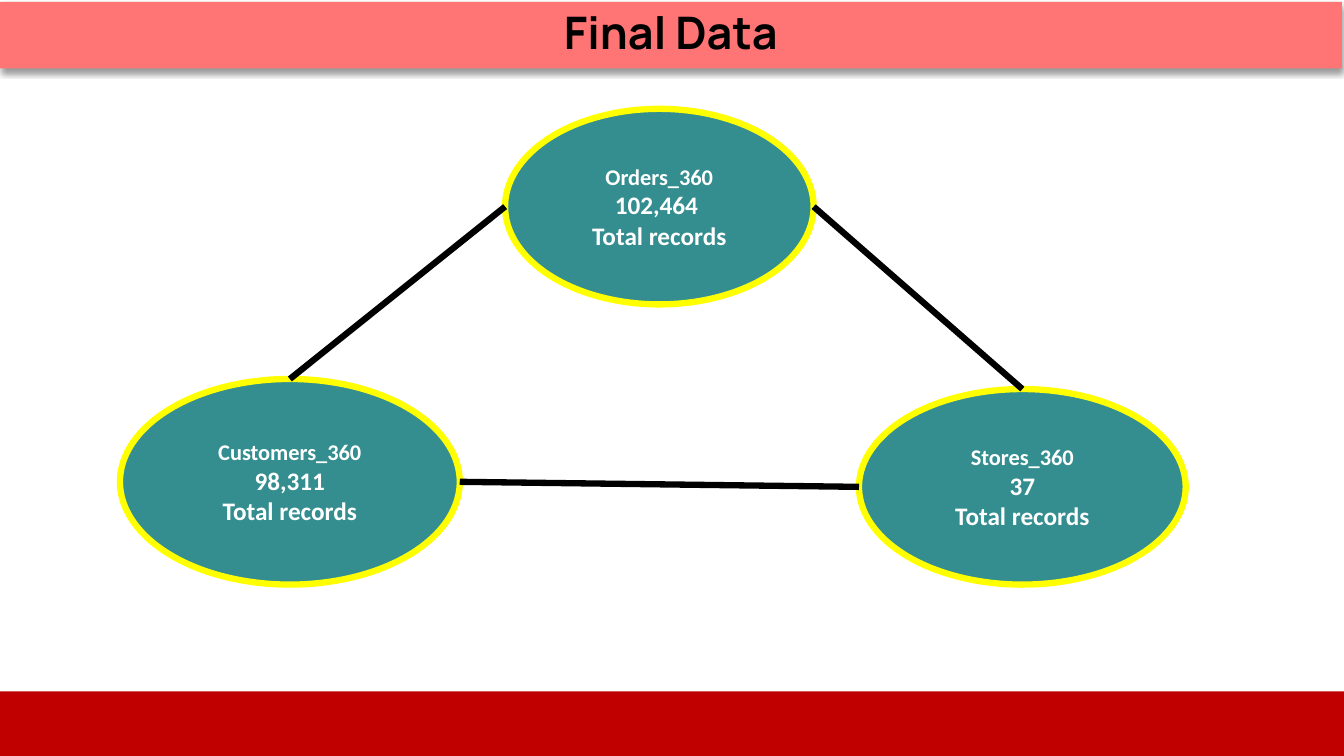
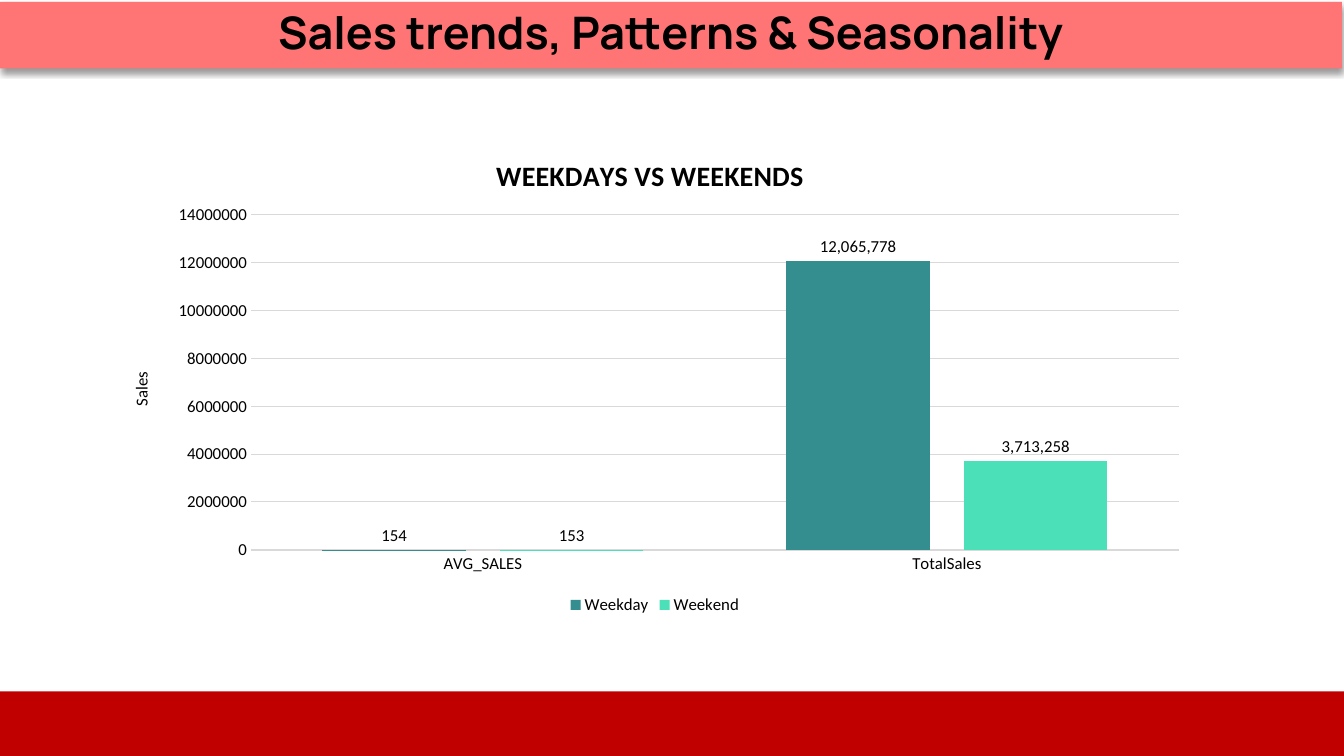
from lxml.etree import SubElement
from pptx import Presentation
from pptx.chart.data import CategoryChartData
from pptx.dml.color import RGBColor
from pptx.enum.chart import XL_CHART_TYPE, XL_LABEL_POSITION, XL_LEGEND_POSITION, XL_TICK_MARK
from pptx.enum.shapes import MSO_CONNECTOR, MSO_SHAPE
from pptx.enum.text import MSO_ANCHOR, PP_ALIGN
from pptx.oxml import parse_xml
from pptx.oxml.ns import nsdecls, qn
from pptx.util import Inches, Pt

BLACK, WHITE, GREY = "000000", "FFFFFF", "D9D9D9"
PINK, RED, YELLOW = "FF7575", "C00000", "FFFF00"
TEAL, MINT = "348E90", "4CE0B9"
HEAD, BODY = "Manrope", "Calibri"
SHADE = (
    f'<a:effectLst {nsdecls("a")}><a:outerShdw blurRad="50800" dist="38100" dir="5400000" '
    'algn="t" rotWithShape="0"><a:srgbClr val="000000"><a:alpha val="40000"/></a:srgbClr>'
    "</a:outerShdw></a:effectLst>"
)


def paint(item, code):
    """Give a fill, line or font the solid colour of a hex code."""
    if hasattr(item, "solid"):
        item.solid()
        item = item.fore_color
    else:
        item = item.color
    item.rgb = RGBColor.from_string(code)


def add_box(slide, kind, place, fill, lines=(), sizes=(), face=BODY, ink=WHITE):
    """Add a filled shape with one bold centred paragraph per line."""
    box = slide.shapes.add_shape(kind, *map(Inches, place))
    box.shadow.inherit = False
    paint(box.fill, fill)
    box.line.fill.background()
    frame = box.text_frame
    frame.vertical_anchor = MSO_ANCHOR.MIDDLE
    frame.text = "\n".join(lines)
    for para, size in zip(frame.paragraphs, sizes):
        para.alignment = PP_ALIGN.CENTER
        font = para.runs[0].font
        font.name, font.size, font.bold = face, Pt(size), True
        paint(font, ink)
    return box


deck = Presentation()
deck.slide_width, deck.slide_height = Inches(13.33), Inches(7.5)

# Slides with their shared title band and footer
pages = []
for title in ("Final Data", "Sales trends, Patterns & Seasonality"):
    page = deck.slides.add_slide(deck.slide_layouts[6])
    band = add_box(page, MSO_SHAPE.RECTANGLE, (0, 0.02, 13.31, 0.66), PINK,
                   [title], [32], HEAD, BLACK)
    band.text_frame.paragraphs[0].line_spacing = 0.9
    props = band._element.spPr
    props.replace(props.find(qn("a:effectLst")), parse_xml(SHADE))
    add_box(page, MSO_SHAPE.RECTANGLE, (0, 6.86, 13.33, 0.64), RED)
    pages.append(page)
data_page, sales_page = pages

# Record counts in a triangle of ellipses
ovals = []
for name, count, place in (
    ("Orders_360", "102,464 ", (5.01, 1.08, 3.06, 1.94)),
    ("Stores_360", "37", (8.52, 3.86, 3.24, 1.94)),
    ("Customers_360", "98,311", (1.19, 3.76, 3.37, 2.04)),
):
    oval = add_box(data_page, MSO_SHAPE.OVAL, place, TEAL,
                   [name, count, "Total records"], [16, 18, 18])
    paint(oval.line, YELLOW)
    oval.line.width = Pt(4.5)
    ovals.append(oval)

tops, lefts, rights = [], [], []
for oval in ovals:
    mid = oval.top + oval.height // 2
    tops.append((oval.left + oval.width // 2, oval.top))
    lefts.append((oval.left, mid))
    rights.append((oval.left + oval.width, mid))

orders, stores, clients = range(3)
for start, end in (
    (tops[clients], lefts[orders]),
    (rights[orders], tops[stores]),
    (rights[clients], lefts[stores]),
):
    link = data_page.shapes.add_connector(MSO_CONNECTOR.STRAIGHT, *start, *end)
    paint(link.line, BLACK)
    link.line.width = Pt(4.5)
    SubElement(link._element.spPr, qn("a:effectLst"))

# Sales chart
data = CategoryChartData()
data.categories = ["AVG_SALES", "TotalSales"]
data.add_series("Weekday", [154, 12065778])
data.add_series("Weekend", [153, 3713258])
chart = sales_page.shapes.add_chart(
    XL_CHART_TYPE.COLUMN_CLUSTERED,
    *map(Inches, (1.08, 1.25, 10.83, 4.89)), data).chart
chart.font.name, chart.font.size = BODY, Pt(12)
paint(chart.font, BLACK)

chart.has_legend = True
chart.legend.position = XL_LEGEND_POSITION.BOTTOM
chart.legend.include_in_layout = False

cats, vals = chart.category_axis, chart.value_axis
for axis in (cats, vals):
    axis.major_tick_mark = axis.minor_tick_mark = XL_TICK_MARK.NONE
paint(cats.format.line, GREY)
cats.format.line.width = Pt(1)
vals.format.line.fill.background()
vals.maximum_scale, vals.major_unit = 14000000, 2000000
vals.tick_labels.number_format = "0"
vals.tick_labels.number_format_is_linked = False
grid = vals.major_gridlines.format.line
paint(grid, GREY)
grid.width = Pt(0.75)

for title, text, size, bold in (
    (chart.chart_title, "WEEKDAYS VS WEEKENDS", 20, True),
    (vals.axis_title, "Sales", 12, False),
):
    title.text_frame.text = text
    font = title.text_frame.paragraphs[0].runs[0].font
    font.name, font.size, font.bold = BODY, Pt(size), bold
    paint(font, BLACK)
turn = vals.axis_title.text_frame._txBody.bodyPr
turn.set("rot", "-5400000")
turn.set("vert", "horz")

plot = chart.plots[0]
plot.gap_width, plot.overlap, plot.vary_by_categories = 100, -24, False
for bars, code in zip(plot.series, (TEAL, MINT)):
    paint(bars.format.fill, code)
    labels = bars.data_labels
    labels.show_value = True
    labels.position = XL_LABEL_POSITION.OUTSIDE_END
    labels.number_format, labels.number_format_is_linked = "#,##0", False
    labels.font.name, labels.font.size = BODY, Pt(12)
    paint(labels.font, BLACK)

# Fixed places, as shares of the chart area
for query, index, place in (
    ("c:chart/c:title", 1, {"x": 0.35, "y": 0.05}),
    ("c:chart/c:plotArea", 0, {"x": 0.13, "y": 0.18, "w": 0.85, "h": 0.68}),
):
    part = chart._chartSpace.xpath(query)[0]
    for old in part.findall(qn("c:layout")):
        part.remove(old)
    layout = parse_xml(f'<c:layout {nsdecls("c")}/>')
    manual = SubElement(layout, qn("c:manualLayout"))
    if "w" in place:
        SubElement(manual, qn("c:layoutTarget")).set("val", "inner")
    for side in "xy":
        SubElement(manual, qn(f"c:{side}Mode")).set("val", "edge")
    for side, share in place.items():
        SubElement(manual, qn(f"c:{side}")).set("val", str(share))
    part.insert(index, layout)

deck.save("out.pptx")
